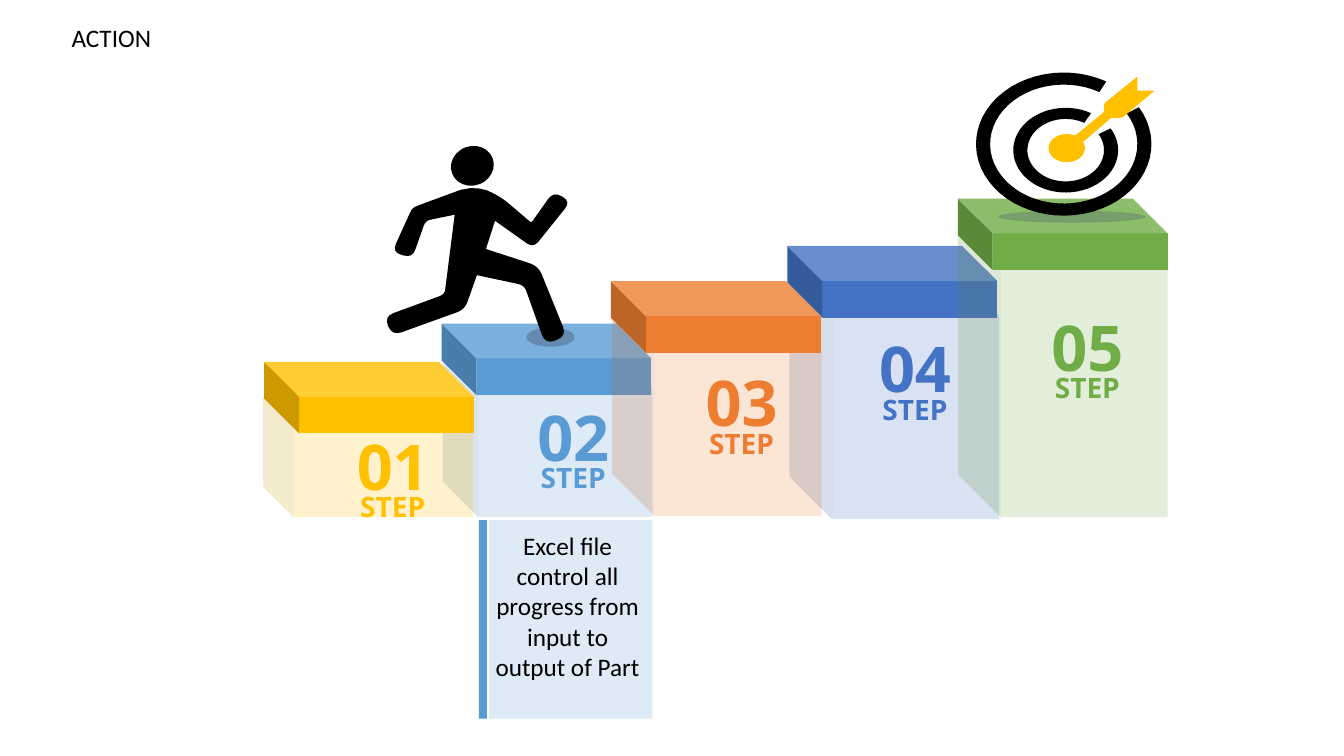
from dataclasses import dataclass
from math import cos, dist, radians, sin

from lxml import etree
from pptx import Presentation
from pptx import util as u
from pptx.dml.color import RGBColor
from pptx.enum import shapes, text
from pptx.oxml.ns import qn


@dataclass(frozen=True)
class Theme:
    yellow: str = "FFC000"
    light_blue: str = "5B9BD5"
    orange: str = "ED7D31"
    blue: str = "4472C4"
    green: str = "70AD47"
    ink: str = "000000"
    shade: str = "44546A"
    body_font: str = "Calibri"
    step_font: str = "Open Sans"
    body_size: int = 18
    number_size: int = 45
    label_size: int = 20


@dataclass(frozen=True)
class Step:
    number: str
    color: str
    left: float
    top: float
    height: float
    depth: float
    lid_left: float
    lid_top: float
    text_left: float
    text_top: float


@dataclass(frozen=True)
class Ring:
    x: float
    y: float
    outer: tuple[float, float]
    inner: tuple[float, float]


Point = tuple[float, float]
THEME = Theme()
STEP_WIDTH, LID_HEIGHT, LID_DEPTH = 2.08, 0.71, 0.488
TEXT_WIDTH, NUMBER_HEIGHT, LABEL_HEIGHT, LABEL_DROP = 1.19, 0.64, 0.32, 0.62

STEPS = {
    s.number: s
    for s in (
        Step("01", THEME.yellow, 2.61, 3.95, 1.18, 0.256, 2.62, 3.59, 3.3, 4.19),
        Step("02", THEME.light_blue, 4.39, 3.5, 1.63, 0.216, 4.38, 3.21, 5.09, 3.9),
        Step("03", THEME.orange, 6.07, 3.07, 2.05, 0.206, 6.06, 2.79, 6.76, 3.56),
        Step("04", THEME.blue, 7.83, 2.7, 2.45, 0.203, 7.81, 2.44, 8.48, 3.22),
        Step("05", THEME.green, 9.5, 2.24, 2.89, 0.205, 9.5, 1.97, 10.19, 3.01),
    )
}

RINGS = (
    Ring(10.55, 1.43, (0.87, 0.71), (0.73, 0.59)),
    Ring(10.57, 1.49, (0.52, 0.42), (0.38, 0.31)),
)
RING_GAP = (-31, 301)

DART = [
    (10.67, 1.34), (10.94, 1.12), (10.95, 1.1), (10.95, 1.04), (10.96, 1.02), (11.28, 0.76),
    (11.28, 0.9), (11.45, 0.9), (11.14, 1.16), (11.11, 1.17), (11.02, 1.17), (10.74, 1.41),
]
BULLSEYE = (10.58, 1.47)
BULLSEYE_RADII = (0.18, 0.14)

RUNNER_CORNERS = [
    (4.51, 2.13, 0), (4.22, 2.19, 0.05), (4.09, 2.56, 0.09), (3.89, 2.5, 0.09),
    (4.09, 2.06, 0.05), (4.55, 1.89, 0.04), (4.75, 1.83, 0.19), (5.0, 1.98, 0.06),
    (5.27, 2.21, 0.02), (5.49, 1.9, 0.09), (5.66, 2.0, 0.09), (5.29, 2.46, 0.08),
    (4.91, 2.19, 0), (4.82, 2.47, 0), (5.34, 2.64, 0.09), (5.62, 3.33, 0.1),
    (5.41, 3.42, 0.11), (5.2, 2.83, 0.06), (4.73, 2.73, 0), (4.61, 3.07, 0.08),
    (3.89, 3.33, 0.1), (3.81, 3.14, 0.1), (4.41, 2.92, 0.05),
]

prs = Presentation()
prs.slide_width, prs.slide_height = u.Inches(13.33), u.Inches(7.5)
slide = prs.slides.add_slide(prs.slide_layouts[5])


def paint(s, color: str, alpha: int = 100) -> None:
    s.shadow.inherit = False
    s.line.fill.background()
    s.fill.solid()
    s.fill.fore_color.rgb = RGBColor.from_string(color)
    if alpha < 100:
        clr = s.fill._xPr.find(qn("a:solidFill"))[0]
        etree.SubElement(clr, qn("a:alpha")).set("val", str(alpha * 1000))


def add_preset(kind, x: float, y: float, w: float, h: float, color: str, alpha: int = 100):
    s = slide.shapes.add_shape(kind, u.Inches(x), u.Inches(y), u.Inches(w), u.Inches(h))
    paint(s, color, alpha)
    return s


def add_cube(x: float, y: float, h: float, depth: float, color: str, alpha: int = 100) -> None:
    s = add_preset(shapes.MSO_SHAPE.CUBE, x, y, STEP_WIDTH, h, color, alpha)
    s.adjustments[0] = depth
    s._element.spPr.xfrm.set("flipH", "1")


def add_outline(points: list[Point], color: str) -> None:
    corners = [(u.Inches(x), u.Inches(y)) for x, y in points]
    fb = slide.shapes.build_freeform(*corners[0])
    fb.add_line_segments(corners[1:], close=True)
    paint(fb.convert_to_shape(), color)


def write(s, words: str, font: str, size: int, color: str, align, bold: bool = False) -> None:
    tf = s.text_frame
    tf.word_wrap = True
    tf.vertical_anchor = text.MSO_ANCHOR.TOP
    tf.auto_size = text.MSO_AUTO_SIZE.SHAPE_TO_FIT_TEXT
    p = tf.paragraphs[0]
    p.alignment = align
    r = p.add_run()
    r.text = words
    r.font.name, r.font.size, r.font.bold = font, u.Pt(size), bold
    r.font.color.rgb = RGBColor.from_string(color)


def add_text(x: float, y: float, w: float, h: float):
    return slide.shapes.add_textbox(u.Inches(x), u.Inches(y), u.Inches(w), u.Inches(h))


def draw_step(step: Step) -> None:
    add_cube(step.left, step.top, step.height, step.depth, step.color, 20)
    add_cube(step.lid_left, step.lid_top, LID_HEIGHT, LID_DEPTH, step.color)
    for words, drop, height, size in (
        (step.number, 0, NUMBER_HEIGHT, THEME.number_size),
        ("STEP", LABEL_DROP, LABEL_HEIGHT, THEME.label_size),
    ):
        s = add_text(step.text_left, step.text_top + drop, TEXT_WIDTH, height)
        write(s, words, THEME.step_font, size, step.color, text.PP_ALIGN.CENTER, True)


def arc(center: Point, radii: Point, step: int = 6) -> list[Point]:
    start, end = RING_GAP
    return [
        (center[0] + radii[0] * cos(radians(a)), center[1] + radii[1] * sin(radians(a)))
        for a in range(start, end + 1, step)
    ]


def toward(a: Point, b: Point, length: float) -> Point:
    t = length / dist(a, b)
    return a[0] + t * (b[0] - a[0]), a[1] + t * (b[1] - a[1])


def round_corners(corners: list[tuple[float, float, float]], steps: int = 4) -> list[Point]:
    points = []
    for i, (x, y, radius) in enumerate(corners):
        corner = (x, y)
        if not radius:
            points.append(corner)
            continue
        a = toward(corner, corners[i - 1][:2], radius)
        b = toward(corner, corners[(i + 1) % len(corners)][:2], radius)
        for k in range(steps + 1):
            t = k / steps
            points.append(tuple(
                (1 - t) ** 2 * m + 2 * t * (1 - t) * c + t ** 2 * n
                for m, c, n in zip(a, corner, b)
            ))
    return points


def draw_target() -> None:
    add_preset(shapes.MSO_SHAPE.OVAL, 9.9, 2.09, 1.46, 0.12, THEME.shade, 30)
    for ring in RINGS:
        center = (ring.x, ring.y)
        add_outline(arc(center, ring.outer) + arc(center, ring.inner)[::-1], THEME.ink)
    add_outline(DART + arc(BULLSEYE, BULLSEYE_RADII, 12), THEME.yellow)


def draw_runner() -> None:
    add_preset(shapes.MSO_SHAPE.OVAL, 5.22, 3.25, 0.48, 0.19, THEME.shade, 40)
    add_outline(round_corners(RUNNER_CORNERS), THEME.ink)
    head = add_preset(shapes.MSO_SHAPE.OVAL, 4.47, 1.45, 0.43, 0.39, THEME.ink)
    head.rotation = 340


def draw_note() -> None:
    add_preset(shapes.MSO_SHAPE.RECTANGLE, 4.85, 5.16, 1.62, 1.97, THEME.light_blue, 20)
    add_preset(shapes.MSO_SHAPE.RECTANGLE, 4.75, 5.16, 0.08, 1.97, THEME.light_blue)
    write(add_text(4.78, 5.21, 1.7, 1.62),
          "Excel file control all progress from input to output of Part",
          THEME.body_font, THEME.body_size, THEME.ink, text.PP_ALIGN.CENTER)


title = slide.shapes.title
title.left, title.top, title.width, title.height = map(u.Inches, (0.61, 0.17, 3.16, 0.4))
write(title, "ACTION", THEME.body_font, THEME.body_size, THEME.ink, text.PP_ALIGN.LEFT)
draw_step(STEPS["04"])
draw_step(STEPS["05"])
draw_target()
draw_step(STEPS["02"])
draw_runner()
draw_step(STEPS["03"])
draw_step(STEPS["01"])
draw_note()

prs.save("out.pptx")
